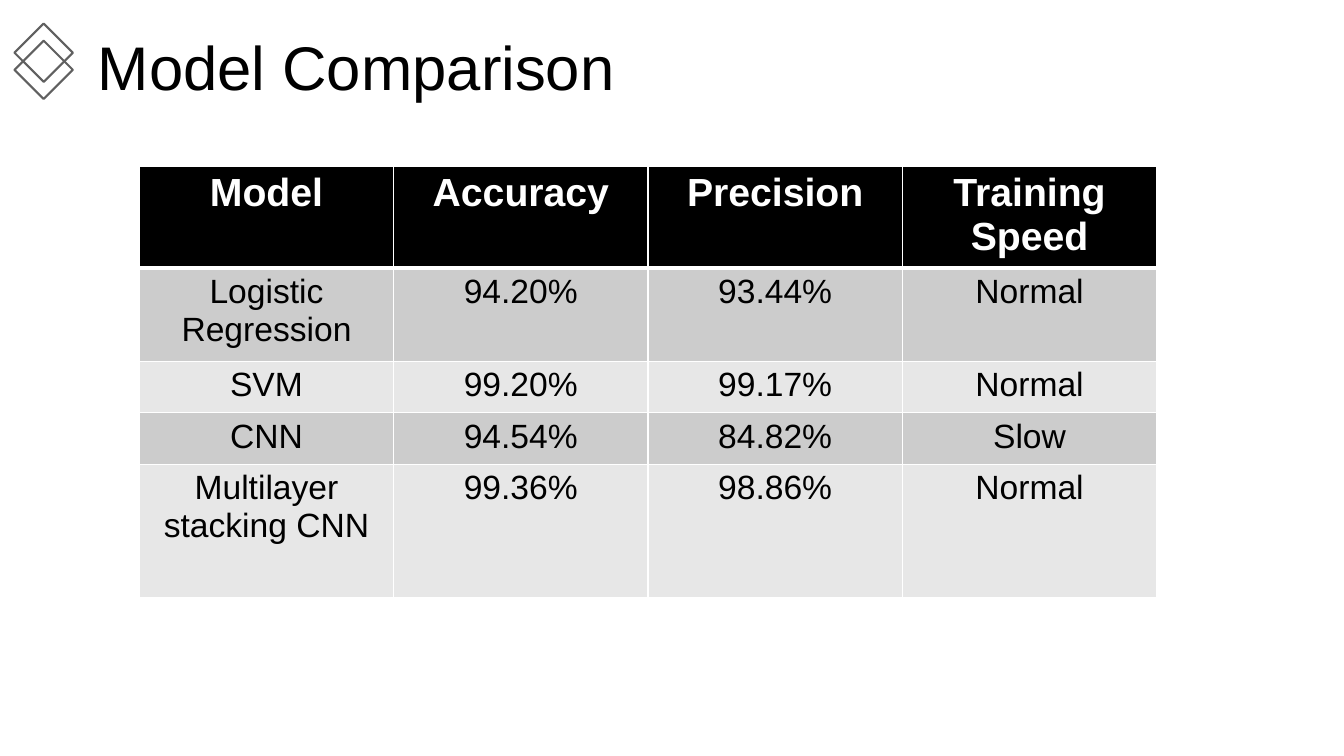
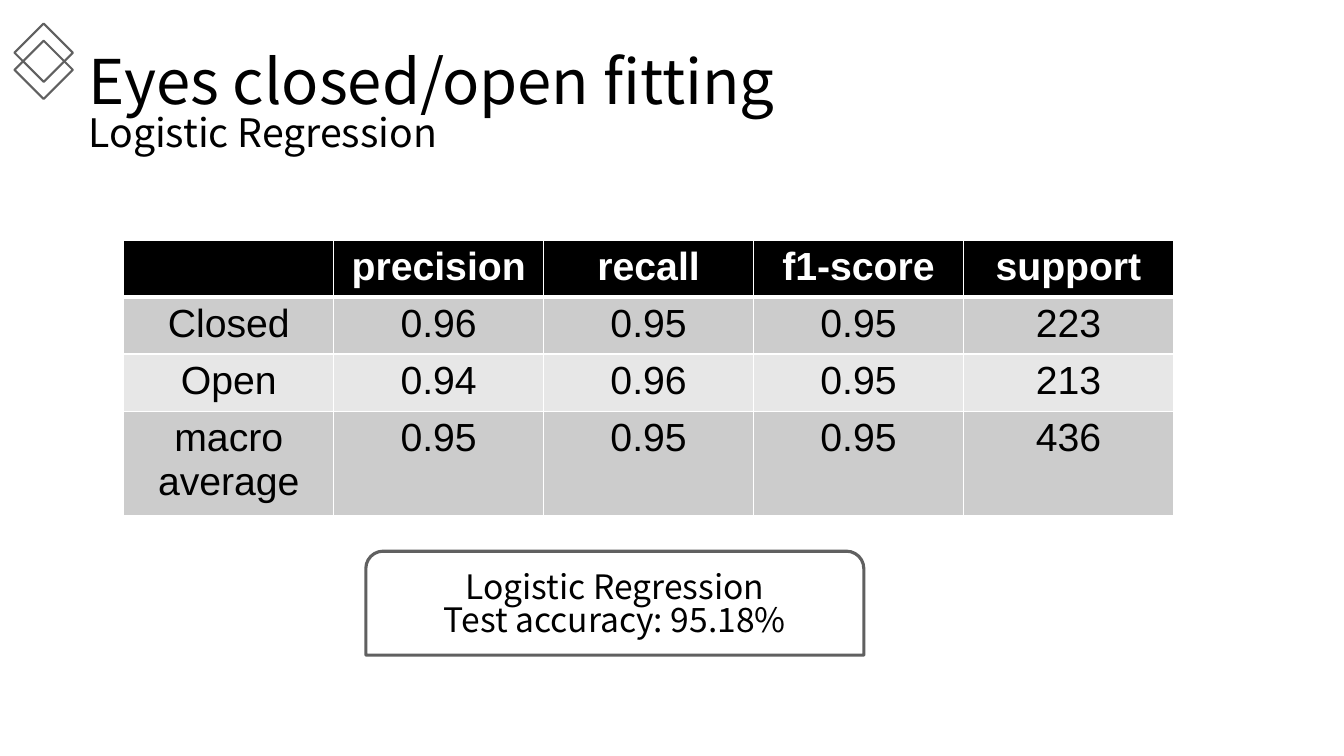
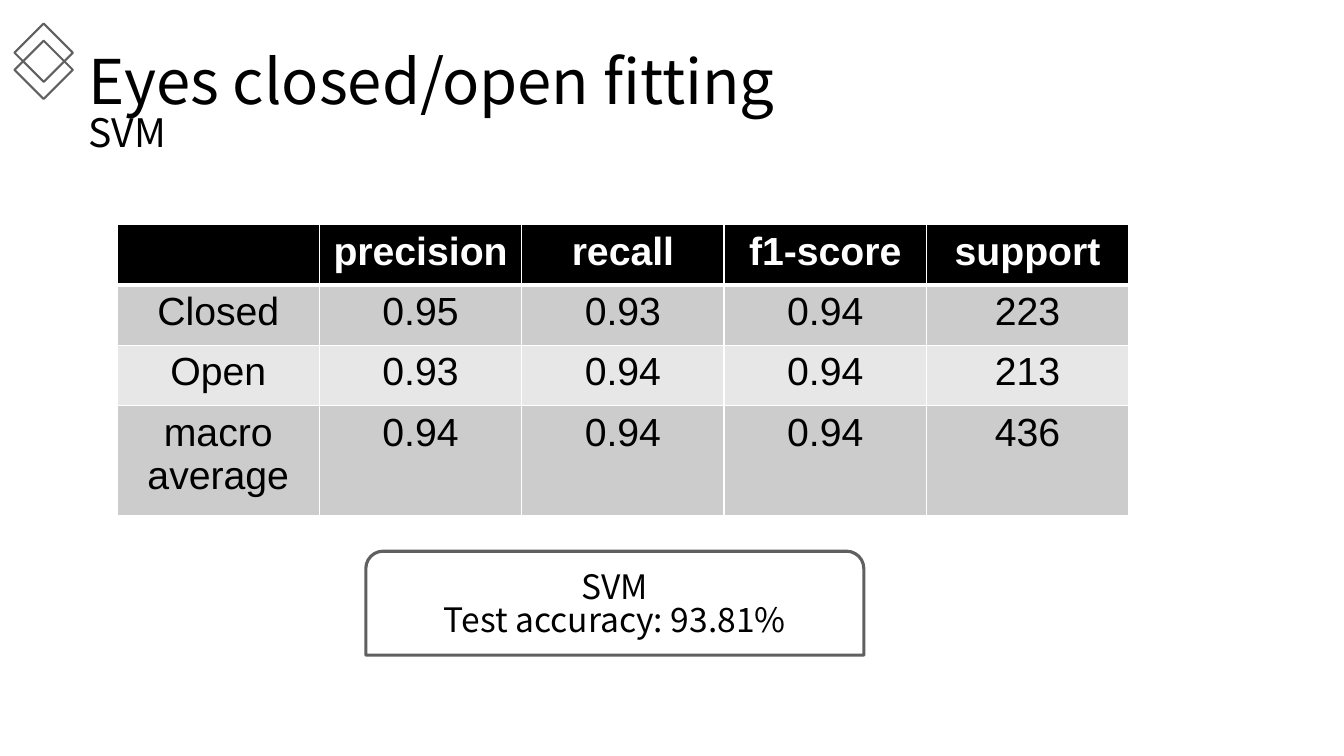
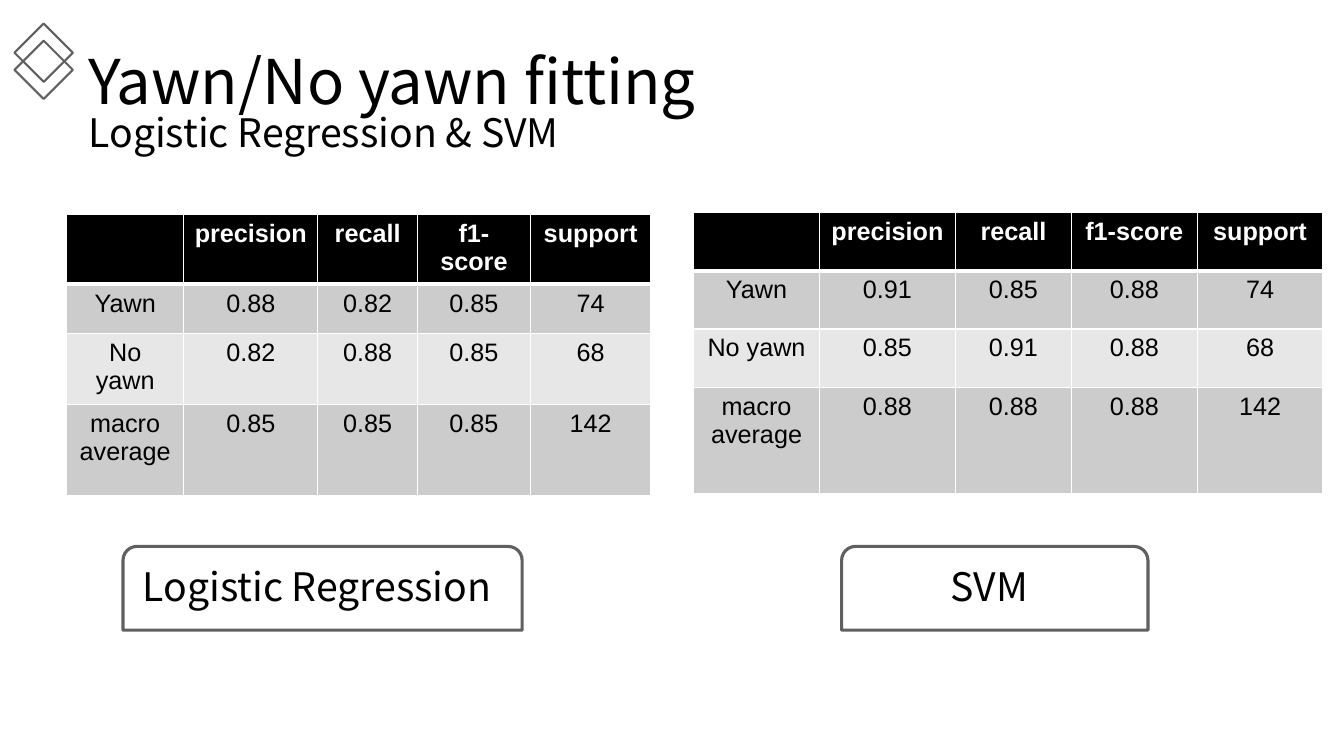
from dataclasses import dataclass

from pptx import Presentation
from pptx.dml import color
from pptx.enum import shapes, text
from pptx.oxml import parse_xml
from pptx.oxml import ns
from pptx import util as u

Cm, Pt = u.Cm, u.Pt


@dataclass(frozen=True)
class Theme:
    ink: str = "000000"
    paper: str = "FFFFFF"
    outline: str = "606060"
    bands: tuple = ("CCCCCC", "E7E7E7")
    plain_font: str = "Arial"
    display_font: str = "Noto Sans CJK SC"
    display_spacing: float = 0.82
    title_size: int = 44
    subtitle_size: int = 28
    note_size: int = 24
    thin: float = 1
    thick: float = 3


THEME = Theme()
TITLE_ONLY = 5
METRICS = ["", "precision", "recall", "f1-score", "support"]


def rgb(value):
    return color.RGBColor.from_string(value)


def style_runs(para, font, size, ink=THEME.ink, bold=False):
    for span in para.runs:
        span.font.name = font
        span.font.size = Pt(size)
        span.font.bold = bold
        span.font.color.rgb = rgb(ink)


def place(item, box):
    item.left, item.top, item.width, item.height = map(Cm, box)


def add_outline(parent, kind, box, weight):
    shape = parent.add_shape(kind, *map(Cm, box))
    shape.shadow.inherit = False
    shape.fill.background()
    shape.line.color.rgb = rgb(THEME.outline)
    shape.line.width = Pt(weight)
    return shape


def add_diamonds(page, left=0.58, top=0.81, side=1.04, step=0.43):
    group = page.shapes.add_group_shape()
    for offset in (step, 0):
        box = (left, top + offset, side, side)
        add_outline(group.shapes, shapes.MSO_SHAPE.RECTANGLE, box, 1.5).rotation = 45


def add_page(deck, title, box, subtitle=None):
    """Add a slide with its diamonds and a title, set in the display font if it has a subtitle."""
    page = deck.slides.add_slide(deck.slide_layouts[TITLE_ONLY])
    heading = page.shapes.title
    place(heading, box)
    frame = heading.text_frame
    frame.text = f"{title}\n{subtitle}" if subtitle else title
    frame.auto_size = text.MSO_AUTO_SIZE.NONE
    frame.vertical_anchor = text.MSO_ANCHOR.MIDDLE
    font = THEME.display_font if subtitle else THEME.plain_font
    for para, size in zip(frame.paragraphs, (THEME.title_size, THEME.subtitle_size)):
        para.alignment = text.PP_ALIGN.LEFT
        para.line_spacing = THEME.display_spacing if subtitle else 0.9
        style_runs(para, font, size)
    add_diamonds(page)
    return page


def set_borders(cell, bottom):
    props = cell._tc.get_or_add_tcPr()
    weights = {"lnL": THEME.thin, "lnR": THEME.thin, "lnT": THEME.thin, "lnB": bottom}
    for position, (side, weight) in enumerate(weights.items()):
        props.insert(position, parse_xml(
            f'<a:{side} {ns.nsdecls("a")} w="{Pt(weight)}"><a:solidFill>'
            f'<a:srgbClr val="{THEME.paper}"/></a:solidFill></a:{side}>'))


def add_table(page, left, top, widths, heights, rows, head_size, body_size):
    box = (left, top, sum(widths), sum(heights))
    table = page.shapes.add_table(len(rows), len(widths), *map(Cm, box)).table
    for column, width in zip(table.columns, widths):
        column.width = Cm(width)
    for index, (row, height, values) in enumerate(zip(table.rows, heights, rows)):
        row.height = Cm(height)
        header = index == 0
        fill = THEME.ink if header else THEME.bands[(index - 1) % 2]
        ink = THEME.paper if header else THEME.ink
        for cell, value in zip(row.cells, values):
            cell.fill.solid()
            cell.fill.fore_color.rgb = rgb(fill)
            set_borders(cell, THEME.thick if header else THEME.thin)
            cell.text = value
            para = cell.text_frame.paragraphs[0]
            para.alignment = text.PP_ALIGN.CENTER
            style_runs(para, THEME.plain_font, head_size if header else body_size, ink, header)


def add_callout(page, box, words, size, right_inset=0):
    shape = add_outline(page.shapes, shapes.MSO_SHAPE.ROUND_2_SAME_RECTANGLE, box, 2.25)
    frame = shape.text_frame
    frame.word_wrap = True
    frame.vertical_anchor = text.MSO_ANCHOR.MIDDLE
    frame.margin_left = frame.margin_top = frame.margin_bottom = 0
    frame.margin_right = Cm(right_inset)
    frame.text = words
    for para in frame.paragraphs:
        para.alignment = text.PP_ALIGN.CENTER
        para.line_spacing = THEME.display_spacing
        style_runs(para, THEME.display_font, size)


def comparison_slide(deck):
    page = add_page(deck, "Model Comparison", (2.21, -0.33, 29.21, 4.19))
    rows = [
        ["Model", "Accuracy", "Precision", "Training Speed"],
        ["Logistic Regression", "94.20%", "93.44%", "Normal"],
        ["SVM", "99.20%", "99.17%", "Normal"],
        ["CNN", "94.54%", "84.82%", "Slow"],
        ["Multilayer stacking CNN", "99.36%", "98.86%", "Normal"],
    ]
    add_table(page, 3.51, 4.19, [6.41] * 4, [2.57, 2.34, 1.3, 1.3, 3.35], rows, 28, 24)


def metric_rows(labels, values):
    return [METRICS] + [[label, *line.split()] for label, line in zip(labels, values)]


SUBTITLED_BOX = (1.98, 0.99, 29, 3.33)


def eyes_slide(deck, model, accuracy, corner, width, heights, values):
    page = add_page(deck, "Eyes closed/open fitting", SUBTITLED_BOX, model)
    rows = metric_rows(("Closed", "Open", "macro average"), values)
    add_table(page, *corner, [width] * len(METRICS), heights, rows, 28, 28)
    add_callout(page, (9.22, 13.89, 12.55, 2.62),
                f"{model}\nTest accuracy: {accuracy}", THEME.note_size)


def yawn_slide(deck):
    page = add_page(deck, "Yawn/No yawn fitting", SUBTITLED_BOX, "Logistic Regression & SVM")
    models = [
        ("Logistic Regression", (3.1, 10.06), (1.68, 5.4),
         [2.95, 3.38, 2.51, 2.85, 3.03], [1.76, 1.24, 1.8, 2.28],
         ["0.88 0.82 0.85 74", "0.82 0.88 0.85 68", "0.85 0.85 0.85 142"]),
        ("SVM", (21.21, 7.72), (17.48, 5.35),
         [3.17, 3.43, 2.92, 3.17, 3.17], [1.47, 1.47, 1.47, 2.67],
         ["0.91 0.85 0.88 74", "0.85 0.91 0.88 68", "0.88 0.88 0.88 142"]),
    ]
    for model, (left, width), corner, widths, heights, values in models:
        add_callout(page, (left, 13.77, width, 2.11), model, THEME.subtitle_size, 0.28)
        rows = metric_rows(("Yawn", "No yawn", "macro average"), values)
        add_table(page, *corner, widths, heights, rows, 18, 18)


def main():
    deck = Presentation()
    deck.slide_width, deck.slide_height = Cm(33.87), Cm(19.05)
    comparison_slide(deck)
    eyes_slide(deck, "Logistic Regression", "95.18%", (3.12, 6.05), 5.29,
               [1.43, 1.44, 1.44, 2.62],
               ["0.96 0.95 0.95 223", "0.94 0.96 0.95 213", "0.95 0.95 0.95 436"])
    eyes_slide(deck, "SVM", "93.81%", (2.95, 5.66), 5.1,
               [1.52, 1.52, 1.52, 2.77],
               ["0.95 0.93 0.94 223", "0.93 0.94 0.94 213", "0.94 0.94 0.94 436"])
    yawn_slide(deck)
    deck.save("out.pptx")


if __name__ == "__main__":
    main()
